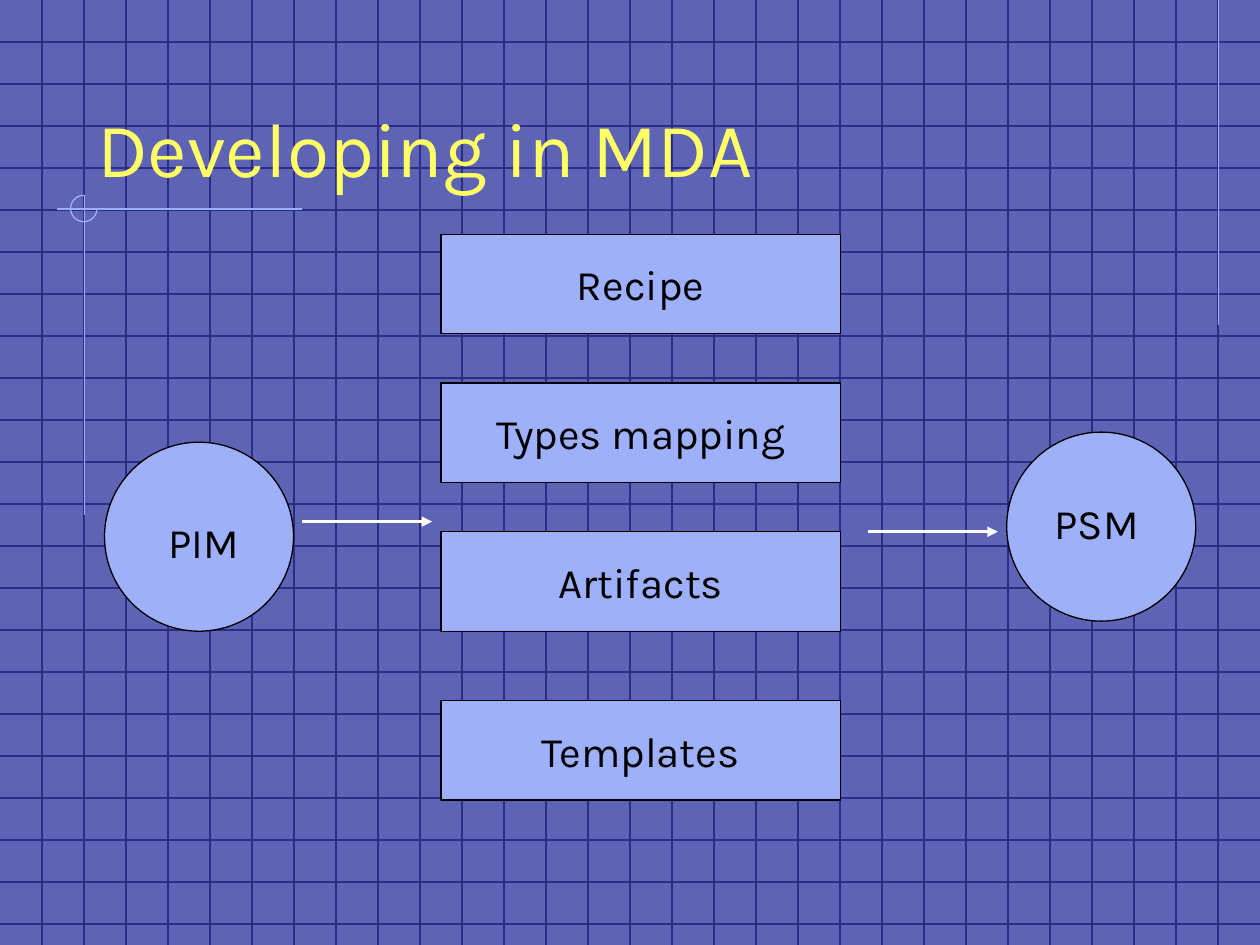
from lxml import etree
from pptx import Presentation
from pptx import util as u
from pptx.dml.color import RGBColor
from pptx.enum import shapes, text
from pptx.oxml.ns import qn

BACK, GRID, PALE, BLACK, WHITE, YELLOW = (
    "5D63B5", "2C2C86", "9EB0FA", "000000", "FFFFFF", "FFFF66")
W, H = 10, 7.5


def rgb(value):
    return RGBColor.from_string(value)


def set_attrs(obj, values):
    for name, value in values.items():
        setattr(obj, name, value)


def set_text(sp, words, size, color, anchor, align, wrap):
    tf = sp.text_frame
    set_attrs(tf, {"word_wrap": wrap, "vertical_anchor": anchor,
                   "auto_size": text.MSO_AUTO_SIZE.NONE})
    p = tf.paragraphs[0]
    p.alignment = align
    r = p.add_run()
    r.text = words
    set_attrs(r.font, {"name": "Karla", "size": u.Pt(size)})
    r.font.color.rgb = rgb(color)


def add_line(s, x1, y1, x2, y2, color, width=0.75, arrow=False):
    line = s.shapes.add_connector(
        shapes.MSO_CONNECTOR.STRAIGHT, *map(u.Inches, (x1, y1, x2, y2)))
    line.line.color.rgb = rgb(color)
    line.line.width = u.Pt(width)
    if arrow:
        etree.SubElement(line.line._get_or_add_ln(), qn("a:tailEnd"), type="triangle")
    etree.SubElement(line._element.spPr, qn("a:effectLst"))


def add_shape(s, kind, x, y, w, h, fill=PALE, line=BLACK, words=None):
    sp = s.shapes.add_shape(kind, *map(u.Inches, (x, y, w, h)))
    sp.shadow.inherit = False
    if fill:
        sp.fill.solid()
        sp.fill.fore_color.rgb = rgb(fill)
    else:
        sp.fill.background()
    if line:
        sp.line.color.rgb = rgb(line)
        sp.line.width = u.Pt(0.75)
    else:
        sp.line.fill.background()
    if words:
        set_text(sp, words, 24, BLACK, text.MSO_ANCHOR.MIDDLE,
                 text.PP_ALIGN.CENTER, False)
    return sp


def add_backdrop(s):
    s.background.fill.solid()
    s.background.fill.fore_color.rgb = rgb(BACK)
    # Grid of three squares to the inch
    for i in range(1, 23):
        add_line(s, 0, i / 3, W, i / 3, GRID)
    for i in range(1, 30):
        add_line(s, i / 3, 0, i / 3, H, GRID)
    # Pale rules and the three-quarter ring at their crossing
    add_line(s, 9.67, 0, 9.67, 2.58, PALE)
    add_line(s, 2.4, 1.66, 0.45, 1.66, PALE)
    add_line(s, 0.67, 1.55, 0.67, 4.09, PALE)
    ring = add_shape(s, shapes.MSO_SHAPE.ARC, 0.56, 1.55, 0.21, 0.21, None, PALE)
    ring.adjustments[0] = 0
    ring.adjustments[1] = 162  # 270 degrees


def add_title(s, words):
    title = s.shapes.title
    set_attrs(title, {"left": u.Inches(0.67), "top": u.Inches(0.33),
                      "width": u.Inches(8.5), "height": u.Inches(1.25)})
    set_text(title, words, 44, YELLOW, text.MSO_ANCHOR.BOTTOM,
             text.PP_ALIGN.LEFT, True)
    s.shapes._spTree.append(title._element)  # in front of the grid


def add_model(s, words, x, y, label_x, label_y):
    add_shape(s, shapes.MSO_SHAPE.OVAL, x, y, 1.5, 1.5)
    add_shape(s, shapes.MSO_SHAPE.RECTANGLE, label_x, label_y, 0.95, 0.79,
              line=None, words=words)


def main():
    prs = Presentation()
    set_attrs(prs, {"slide_width": u.Inches(W), "slide_height": u.Inches(H)})
    s = prs.slides.add_slide(prs.slide_layouts[5])
    add_backdrop(s)
    add_title(s, "Developing in MDA")

    # Source and target models
    add_model(s, "PIM", 0.83, 3.51, 1.14, 3.9)
    add_model(s, "PSM", 7.99, 3.43, 8.23, 3.75)

    # Transformation inputs
    for words, y in (("Recipe", 1.86), ("Types mapping", 3.04),
                     ("Artifacts", 4.22), ("Templates", 5.56)):
        add_shape(s, shapes.MSO_SHAPE.RECTANGLE, 3.5, y, 3.17, 0.79, words=words)

    # Flow arrows
    for x, y in ((2.4, 4.14), (6.89, 4.22)):
        add_line(s, x, y, x + 1.03, y, WHITE, 2, arrow=True)

    prs.save("out.pptx")


if __name__ == "__main__":
    main()
